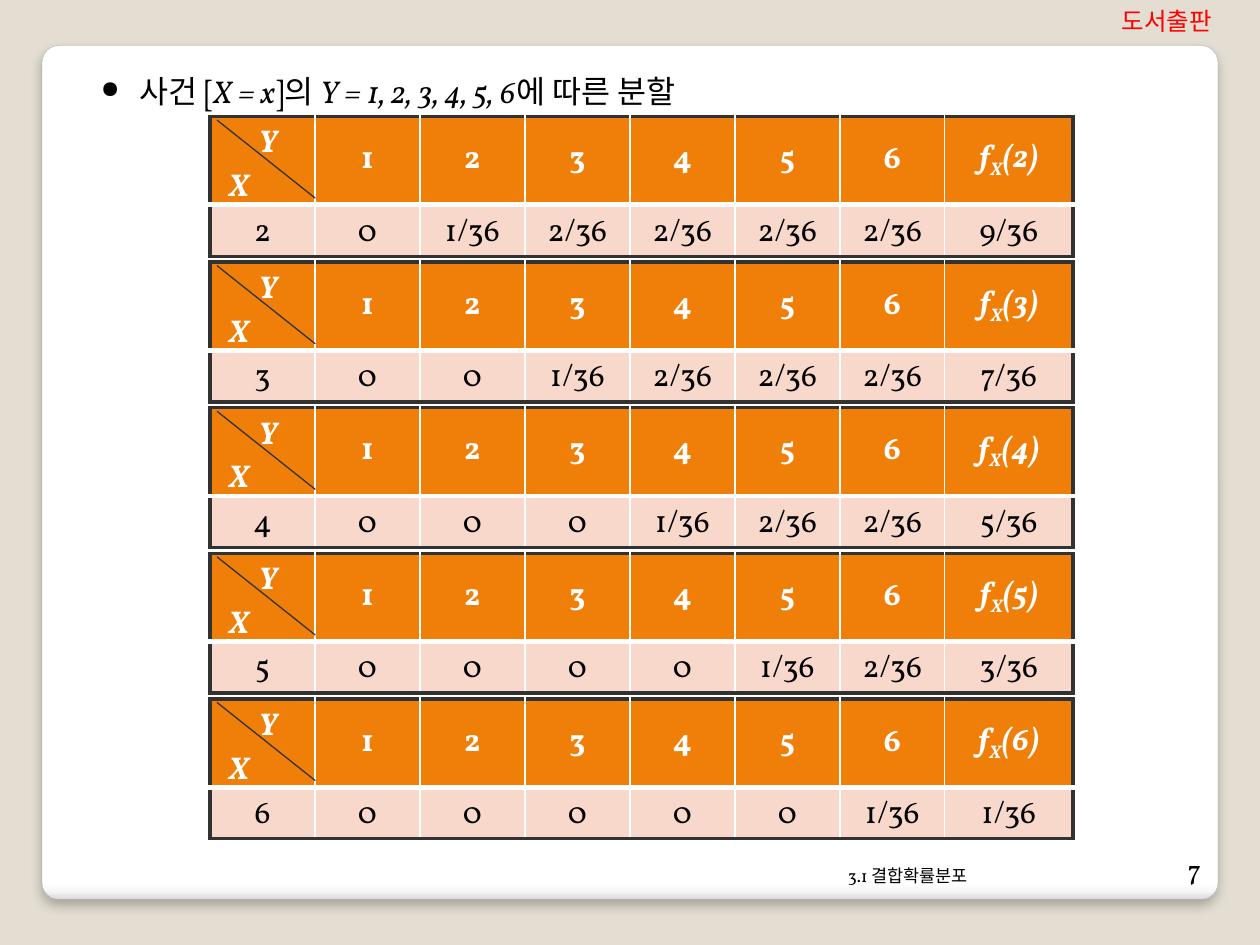
"""Build a slide of joint probability tables that split each event X = x by Y."""
from dataclasses import dataclass
from typing import Any

from lxml import etree
from pptx import Presentation
from pptx.dml.color import RGBColor
from pptx.enum.shapes import MSO_CONNECTOR, MSO_SHAPE
from pptx.enum.text import MSO_ANCHOR, MSO_AUTO_SIZE, PP_ALIGN
from pptx.oxml.ns import qn
from pptx.util import Pt

LEFT, CENTER, RIGHT = PP_ALIGN.LEFT, PP_ALIGN.CENTER, PP_ALIGN.RIGHT
TOP, MIDDLE, BOTTOM = MSO_ANCHOR.TOP, MSO_ANCHOR.MIDDLE, MSO_ANCHOR.BOTTOM
ROUNDED, STRAIGHT = MSO_SHAPE.ROUNDED_RECTANGLE, MSO_CONNECTOR.STRAIGHT
FIXED_SIZE = MSO_AUTO_SIZE.NONE

SAND = RGBColor(0xE3, 0xDE, 0xD1)
WHITE = RGBColor(0xFF, 0xFF, 0xFF)
PALE_GRAY = RGBColor(0xF7, 0xF7, 0xF7)
EDGE_GRAY = RGBColor(0xDA, 0xDA, 0xDA)
OUTLINE_GRAY = RGBColor(0xA4, 0xA4, 0xA4)
CHARCOAL = RGBColor(0x32, 0x32, 0x32)
ORANGE = RGBColor(0xF0, 0x7F, 0x09)
PINK = RGBColor(0xF9, 0xD8, 0xCC)
BLACK = RGBColor(0, 0, 0)
RED = RGBColor(0xFF, 0, 0)

SERIF, KOREAN = "Vollkorn", "Noto Sans CJK KR"
CARD_STOPS = ((0, WHITE), (98, WHITE), (99, PALE_GRAY), (100, EDGE_GRAY))
Y_VALUES = range(1, 7)
X_VALUES = range(2, 7)
TABLE_LEFT, TABLE_TOP, TABLE_PITCH = 120, 66.6, 83.2
COLUMN_WIDTHS = (60,) * 7 + (73.2,)
ROW_HEIGHTS = (50.4, 29.5)


@dataclass(frozen=True)
class Span:
    text: str
    italic: bool = False
    bold: bool = False
    color: RGBColor = BLACK
    size: float = 18
    font: str = SERIF
    baseline: int = 0


@dataclass(frozen=True)
class Label:
    left: float
    top: float
    width: float
    height: float
    span: Span
    align: Any = LEFT
    anchor: Any = TOP


LABELS = (
    Label(477.4, 481, 180, 28.8, Span("3.1 결합확률분포", size=10), anchor=BOTTOM),
    Label(657.4, 481, 36, 28.8, Span("7", size=16), RIGHT, BOTTOM),
    Label(613.4, 0, 106.6, 24.5, Span("도서출판", color=RED, size=14, font=KOREAN), CENTER),
)
HEADING = (
    Span("사건 ["),
    Span("X = x", italic=True),
    Span("]의 "),
    Span("Y = 1, 2, 3, 4, 5, 6", italic=True),
    Span("에 따른 분할"),
)


def apply(target: Any, formats: dict[str, Any]) -> None:
    for name, value in formats.items():
        setattr(target, name, value)


def write(paragraph: Any, spans: tuple[Span, ...], align: Any = LEFT, indent: float = 0) -> None:
    paragraph.alignment = align
    if indent:
        paragraph._p.get_or_add_pPr().set("marL", str(Pt(indent)))
    for span in spans:
        run = paragraph.add_run()
        run.text = span.text
        apply(run.font, {"name": span.font, "size": Pt(span.size),
                         "bold": span.bold, "italic": span.italic})
        run.font.color.rgb = span.color
        properties = run._r.get_or_add_rPr()
        etree.SubElement(properties, qn("a:ea"), typeface=KOREAN)
        if span.baseline:
            properties.set("baseline", str(span.baseline * 1000))


def add_color(parent: Any, color: RGBColor) -> Any:
    return etree.SubElement(parent, qn("a:srgbClr"), val=str(color))


def draw_card(slide: Any) -> Any:
    card = slide.shapes.add_shape(ROUNDED, Pt(24), Pt(26), Pt(672), Pt(488))
    card.adjustments[0] = 0.02
    card.line.color.rgb = OUTLINE_GRAY
    card.line.width = Pt(0.16)
    card.fill.gradient()
    card.fill.gradient_angle = 270
    stops = card.element.spPr.find(".//" + qn("a:gsLst"))
    stops.clear()
    for position, color in CARD_STOPS:
        add_color(etree.SubElement(stops, qn("a:gs"), pos=str(position * 1000)), color)
    card.shadow.inherit = False
    effects = card.element.spPr.find(qn("a:effectLst"))
    shadow = etree.SubElement(effects, qn("a:outerShdw"), blurRad=str(Pt(6)),
                              dist=str(Pt(4)), dir="5400000", rotWithShape="0")
    etree.SubElement(add_color(shadow, BLACK), qn("a:alpha"), val="25000")
    return card


def draw_heading(title: Any) -> None:
    apply(title, {"left": Pt(50.4), "top": Pt(37.4), "width": Pt(382.3), "height": Pt(29)})
    apply(title.text_frame, {"word_wrap": True, "auto_size": FIXED_SIZE, "vertical_anchor": TOP})
    paragraph = title.text_frame.paragraphs[0]
    properties = paragraph._p.get_or_add_pPr()
    properties.set("indent", str(-Pt(22)))
    etree.SubElement(properties, qn("a:buSzPct"), val="75000")
    etree.SubElement(properties, qn("a:buChar"), char="●")
    write(paragraph, HEADING, indent=22)


def draw_label(slide: Any, label: Label) -> None:
    box = slide.shapes.add_textbox(Pt(label.left), Pt(label.top), Pt(label.width), Pt(label.height))
    apply(box.text_frame, {"word_wrap": True, "vertical_anchor": label.anchor})
    write(box.text_frame.paragraphs[0], (label.span,), label.align)


def style_cell(cell: Any, row: int, column: int) -> None:
    outer, inner = (CHARCOAL, 2.25), (WHITE, 1)
    borders = {
        "a:lnL": outer if column == 0 else inner,
        "a:lnR": outer if column == len(COLUMN_WIDTHS) - 1 else inner,
        "a:lnT": outer if row == 0 else inner,
        "a:lnB": (WHITE, 3) if row == 0 else outer,
    }
    properties = cell._tc.get_or_add_tcPr()
    for tag, (color, width) in borders.items():
        line = etree.SubElement(properties, qn(tag), w=str(Pt(width)))
        add_color(etree.SubElement(line, qn("a:solidFill")), color)
    cell.vertical_anchor = MIDDLE
    cell.fill.solid()
    cell.fill.fore_color.rgb = PINK if row else ORANGE


def head(text: str, italic: bool = False, baseline: int = 0) -> Span:
    return Span(text, italic, True, WHITE, baseline=baseline)


def draw_table(slide: Any, x: int, top: float) -> None:
    table = slide.shapes.add_table(2, len(COLUMN_WIDTHS), Pt(TABLE_LEFT), Pt(top),
                                   Pt(sum(COLUMN_WIDTHS)), Pt(sum(ROW_HEIGHTS))).table
    table.horz_banding = False
    for column, width in zip(table.columns, COLUMN_WIDTHS):
        column.width = Pt(width)
    for row, height in zip(table.rows, ROW_HEIGHTS):
        row.height = Pt(height)

    shares = [0 if y < x else 1 if y == x else 2 for y in Y_VALUES]
    chances = [f"{share}/36" if share else "0" for share in shares + [sum(shares)]]
    marginal = (head("f", True), head("X", True, -25), head(f"({x})", True))
    header = [(), *((head(str(y)),) for y in Y_VALUES), marginal]
    body = [(Span(text),) for text in (str(x), *chances)]
    for row, contents in enumerate((header, body)):
        for column, spans in enumerate(contents):
            cell = table.cell(row, column)
            style_cell(cell, row, column)
            if spans:
                write(cell.text_frame.paragraphs[0], spans, CENTER)

    corner = table.cell(0, 0).text_frame
    write(corner.paragraphs[0], (head("Y", True),), indent=20.5)
    write(corner.add_paragraph(), (head("X", True),), indent=3.5)
    start_x, start_y = TABLE_LEFT + 4, top + 2
    diagonal = slide.shapes.add_connector(STRAIGHT, Pt(start_x), Pt(start_y),
                                          Pt(start_x + 56.2), Pt(start_y + 44.7))
    diagonal.line.color.rgb = CHARCOAL
    diagonal.line.width = Pt(0.75)
    etree.SubElement(diagonal.element.spPr, qn("a:effectLst"))


def main() -> None:
    deck = Presentation()
    apply(deck, {"slide_width": Pt(720), "slide_height": Pt(540)})
    slide = deck.slides.add_slide(deck.slide_layouts[5])
    slide.background.fill.solid()
    slide.background.fill.fore_color.rgb = SAND
    heading = slide.shapes.title
    heading.element.addprevious(draw_card(slide).element)
    draw_heading(heading)
    for label in LABELS:
        draw_label(slide, label)
    for index, x in enumerate(X_VALUES):
        draw_table(slide, x, TABLE_TOP + index * TABLE_PITCH)
    deck.save("out.pptx")


if __name__ == "__main__":
    main()
